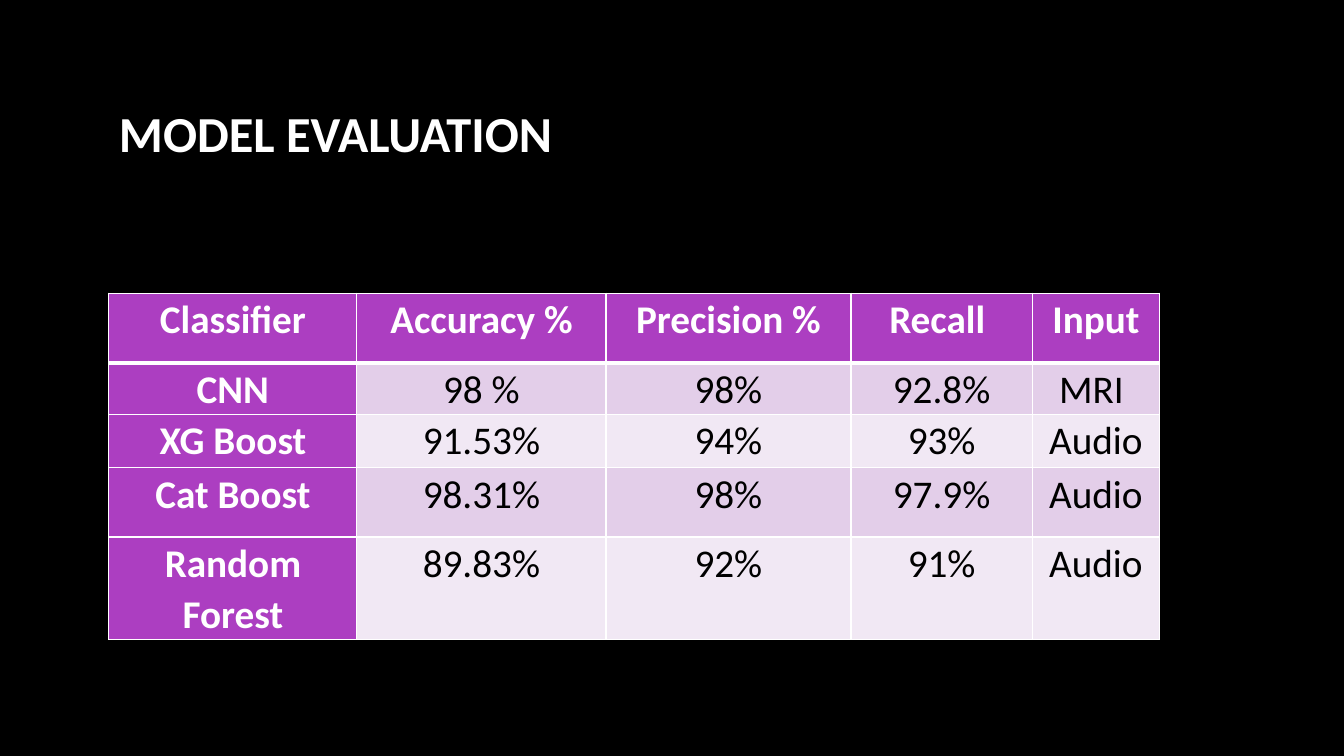
from lxml import etree
from pptx import Presentation
from pptx.dml.color import RGBColor
from pptx.enum.text import MSO_ANCHOR, MSO_AUTO_SIZE, PP_ALIGN
from pptx.oxml.ns import qn
from pptx.util import Inches, Pt

CENTER, LEFT = PP_ALIGN.CENTER, PP_ALIGN.LEFT
MIDDLE, TOP = MSO_ANCHOR.MIDDLE, MSO_ANCHOR.TOP
NO_AUTOFIT = MSO_AUTO_SIZE.NONE

BLACK = RGBColor(0x00, 0x00, 0x00)
WHITE = RGBColor(0xFF, 0xFF, 0xFF)
PURPLE = RGBColor(0xAC, 0x3E, 0xC1)
BANDS = (RGBColor(0xE3, 0xCE, 0xE9), RGBColor(0xF1, 0xE8, 0xF4))

FONT = "Calibri"
LEFT_MARGIN = 1.08
COLUMN_WIDTHS = (2.46, 2.47, 2.43, 1.8, 1.26)
ROW_HEIGHTS = (0.69, 0.48, 0.53, 0.69, 0.96)
RESULTS = (
    ("Classifier", "Accuracy %", "Precision %", "Recall ", "Input"),
    ("CNN", "98 %", "98%", "92.8%", "MRI "),
    ("XG Boost", "91.53%", "94%", "93%", "Audio"),
    ("Cat Boost", "98.31%", "98%", "97.9%", "Audio"),
    ("Random Forest", "89.83%", "92%", "91%", "Audio"),
)


def format_text(paragraph, size, color, bold, alignment):
    paragraph.alignment = alignment
    for run in paragraph.runs:
        run.font.name = FONT
        run.font.size = Pt(size)
        run.font.bold = bold
        run.font.color.rgb = color


def add_title(slide, text):
    title = slide.shapes.title
    title.left, title.top = Inches(LEFT_MARGIN), Inches(0.72)
    title.width, title.height = Inches(11.29), Inches(1.18)
    frame = title.text_frame
    frame.text = text
    frame.auto_size = NO_AUTOFIT
    frame.word_wrap = True
    frame.vertical_anchor = MIDDLE
    format_text(frame.paragraphs[0], 36, WHITE, True, LEFT)


def set_borders(cell, widths):
    """Draw white borders; the line elements come first in the cell properties."""
    properties = cell._tc.get_or_add_tcPr()
    for position, (side, width) in enumerate(widths.items()):
        line = etree.Element(qn(f"a:ln{side}"), w=str(Pt(width)))
        fill = etree.SubElement(line, qn("a:solidFill"))
        etree.SubElement(fill, qn("a:srgbClr"), val=str(WHITE))
        properties.insert(position, line)


def format_cell(cell, text, row, column):
    is_header = row == 0 or column == 0
    cell.text = text
    cell.margin_left = cell.margin_right = Inches(0.07)
    cell.margin_top = cell.margin_bottom = 0
    cell.vertical_anchor = TOP
    cell.fill.solid()
    cell.fill.fore_color.rgb = PURPLE if is_header else BANDS[(row - 1) % 2]

    paragraph = cell.text_frame.paragraphs[0]
    paragraph.line_spacing = 1.07
    paragraph.space_after = Pt(8)
    format_text(paragraph, 28, WHITE if is_header else BLACK, is_header, CENTER)

    # A thick rule parts the header row from the results
    set_borders(cell, {"L": 1, "R": 1, "T": 3 if row == 1 else 1, "B": 3 if row == 0 else 1})


def add_results_table(slide):
    table = slide.shapes.add_table(
        len(ROW_HEIGHTS), len(COLUMN_WIDTHS), Inches(LEFT_MARGIN), Inches(2.91),
        Inches(sum(COLUMN_WIDTHS)), Inches(sum(ROW_HEIGHTS))).table
    table.first_col = True
    for column, width in zip(table.columns, COLUMN_WIDTHS):
        column.width = Inches(width)
    for row, height in zip(table.rows, ROW_HEIGHTS):
        row.height = Inches(height)
    for row, values in enumerate(RESULTS):
        for column, text in enumerate(values):
            format_cell(table.cell(row, column), text, row, column)


def main():
    presentation = Presentation()
    presentation.slide_width, presentation.slide_height = Inches(13.33), Inches(7.5)
    title_only = presentation.slide_layouts[5]
    slide = presentation.slides.add_slide(title_only)
    slide.background.fill.solid()
    slide.background.fill.fore_color.rgb = BLACK

    add_title(slide, "MODEL EVALUATION")
    add_results_table(slide)
    presentation.save("out.pptx")


if __name__ == "__main__":
    main()
